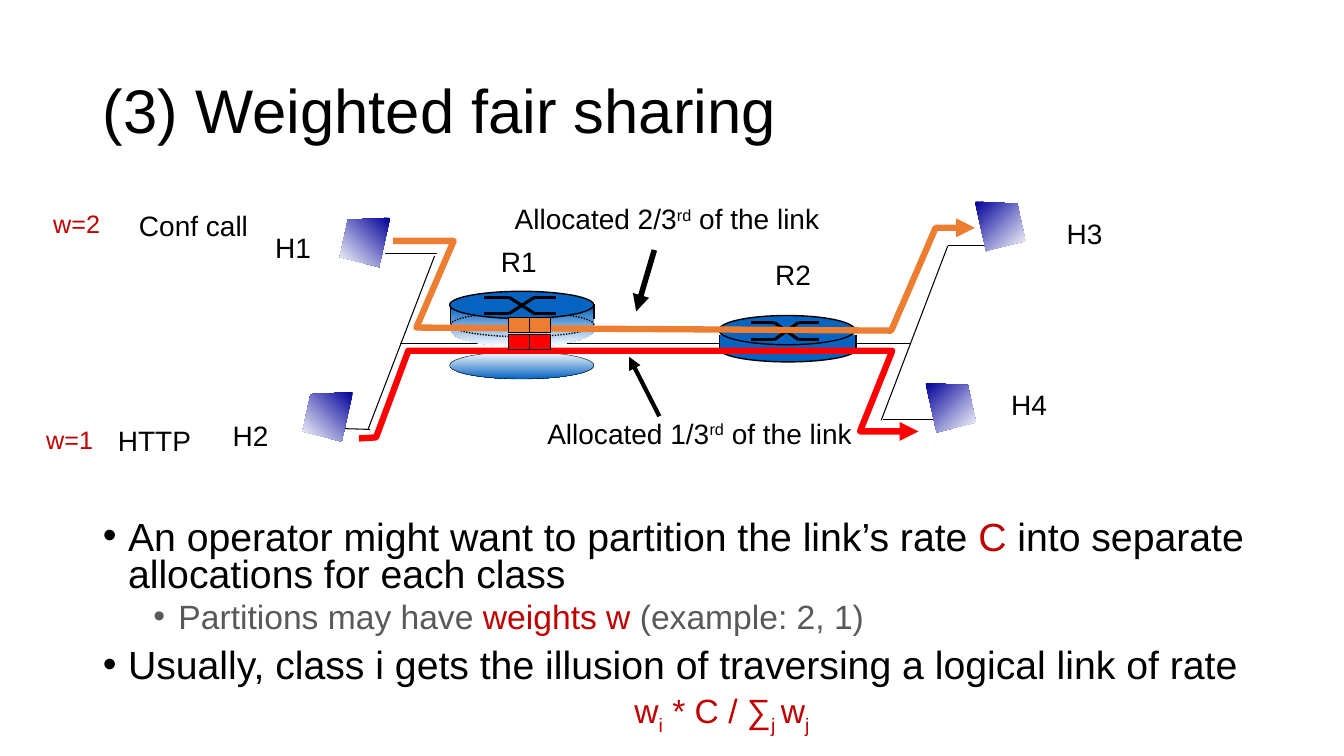
import math
from dataclasses import dataclass
from itertools import pairwise

from lxml import etree
from pptx import Presentation
from pptx import util as u
from pptx.dml.color import RGBColor
from pptx.enum import dml, shapes, text
from pptx.oxml.ns import qn


@dataclass(frozen=True)
class Theme:
    font: str = "Arial"
    black: str = "000000"
    white: str = "FFFFFF"
    gray: str = "595959"
    accent: str = "C00000"
    blue: str = "0563C1"
    navy: str = "000099"
    orange: str = "ED7D31"
    red: str = "FF0000"
    head: int = 44
    body: int = 28
    sub: int = 24
    label: int = 20
    weight: int = 18


T = Theme()
OVAL, RECT = shapes.MSO_SHAPE.OVAL, shapes.MSO_SHAPE.RECTANGLE
CENTER, LEFT = text.PP_ALIGN.CENTER, text.PP_ALIGN.LEFT


def rgb(code):
    return RGBColor.from_string(code)


def place(shape, *box):
    shape.left, shape.top, shape.width, shape.height = map(u.Inches, box)


def write(para, *runs, size, color=T.black, align=LEFT):
    """Add runs, each a string or (string, {"color", "base"})."""
    para.alignment = align
    for item in runs:
        words, fmt = (item, {}) if isinstance(item, str) else item
        run = para.add_run()
        run.text = words
        run.font.name, run.font.size = T.font, u.Pt(size)
        run.font.color.rgb = rgb(fmt.get("color", color))
        if "base" in fmt:
            run.font._element.set("baseline", str(fmt["base"] * 1000))


def label(slide, box, *runs, wrap=True, size=T.label, **fmt):
    frame = slide.shapes.add_textbox(*map(u.Inches, box)).text_frame
    frame.word_wrap = wrap
    frame.auto_size = text.MSO_AUTO_SIZE.SHAPE_TO_FIT_TEXT
    write(frame.paragraphs[0], *runs, size=size, **fmt)


def stroke(shape, color, width, arrow=False):
    shape.line.color.rgb = rgb(color)
    shape.line.width = u.Pt(width)
    if arrow:
        edge = shape._element.spPr.find(qn("a:ln"))
        etree.SubElement(edge, qn("a:tailEnd"), type="triangle")


def paint(shape, fill=None, line=None, width=1, angle=270, arrow=False):
    """Fill with nothing, one colour, or a pair of gradient colours."""
    shape.shadow.inherit = False
    if fill is None:
        shape.fill.background()
    elif isinstance(fill, str):
        shape.fill.solid()
        shape.fill.fore_color.rgb = rgb(fill)
    else:
        shape.fill.gradient()
        shape.fill.gradient_angle = angle
        for stop, color in zip(shape.fill.gradient_stops, fill):
            stop.color.rgb = rgb(color)
    if line:
        stroke(shape, line, width, arrow)
    else:
        shape.line.fill.background()
    return shape


def block(slide, kind, box, **look):
    return paint(slide.shapes.add_shape(kind, *map(u.Inches, box)), **look)


def outline(slide, points, close=False, **look):
    spots = [(u.Inches(x), u.Inches(y)) for x, y in points]
    pen = slide.shapes.build_freeform(*spots[0])
    pen.add_line_segments(spots[1:], close=close)
    return paint(pen.convert_to_shape(), **look)


def link(slide, start, end, width=0.75, arrow=False):
    line = slide.shapes.add_connector(
        shapes.MSO_CONNECTOR.STRAIGHT, *map(u.Inches, (*start, *end)))
    stroke(line, T.black, width, arrow)
    etree.SubElement(line._element.spPr, qn("a:effectLst"))


def cross(slide, xs, top, low):
    """Draw the two crossing paths on a router's lid."""
    for near, far in ((top, low), (low, top)):
        for start, end in pairwise(zip(xs, (near, near, far, far))):
            link(slide, start, end, 2.25)


def host(slide, x, y, side):
    """Draw a host from its top corner; side is -1 when mirrored."""
    shape = ((0, 0), (0.42, 0.02), (0.5, 0.39), (0.11, 0.49))
    outline(slide, [(x + side * dx, y + dy) for dx, dy in shape], close=True,
            fill=(T.navy, T.white), angle=270 + 45 * side)


def arc(mid, base, high, steps):
    return [(mid + 0.71 * math.cos(a), base + high * math.sin(a))
            for a in (math.pi * i / 24 for i in steps)]


def queue(slide):
    """Draw R1, opened up to show its buffer."""
    wall = arc(5.18, 3.04, 0.13, range(24, -1, -1)) + arc(5.18, 3.27, 0.17, range(25))
    outline(slide, wall, close=True, fill=(T.blue, T.white))
    rim = block(slide, OVAL, (4.47, 3.1, 1.42, 0.24), line=T.black)
    rim.line.dash_style = dml.MSO_LINE.ROUND_DOT
    link(slide, (4.47, 3.06), (4.47, 3.21), 1)
    link(slide, (5.89, 3.02), (5.89, 3.16), 1)
    block(slide, OVAL, (4.46, 2.89, 1.43, 0.27), fill=T.blue, line=T.black)
    cross(slide, (4.8, 5.05, 5.3, 5.51), 2.95, 3.11)
    block(slide, OVAL, (4.46, 3.49, 1.43, 0.27), fill=(T.white, T.blue),
          line=T.black, width=0.25)


def router(slide):
    block(slide, OVAL, (7.14, 3.34, 1.35, 0.25), fill=T.blue, line=T.black)
    for x in (7.14, 8.49):
        link(slide, (x, 3.32), (x, 3.47), 1)
    block(slide, RECT, (7.14, 3.32, 1.34, 0.15), fill=T.blue)
    block(slide, OVAL, (7.13, 3.13, 1.35, 0.29), fill=T.blue, line=T.black)
    cross(slide, (7.45, 7.68, 7.92, 8.12), 3.2, 3.37)


def network(slide):
    link(slide, (3.97, 3.41), (9.03, 3.41))
    queue(slide)
    for start, end in (((4.31, 2.54), (3.65, 4.26)), ((3.67, 4.26), (3.33, 4.25)),
                       ((4.33, 2.52), (3.82, 2.52)), ((9.4, 2.44), (8.74, 4.17)),
                       ((9.27, 4.16), (8.76, 4.16)), ((9.76, 2.44), (9.4, 2.44))):
        link(slide, start, end)
    router(slide)
    for name, x, y in (("R1", 4.87, 2.38), ("R2", 7.59, 2.51), ("H1", 2.63, 2.24),
                       ("H2", 2.21, 4.1), ("H3", 10.48, 2.1), ("H4", 9.93, 3.8)):
        label(slide, (x, y, 0.56, 0.44), name, wrap=False)


def flows(slide):
    rest = (("rd", {"base": 30}), " of the link")
    label(slide, (5.33, 4.08, 3.27, 0.44), "Allocated 1/3", *rest, wrap=False)
    link(slide, (6.54, 4.13), (6.24, 3.54), 3, arrow=True)
    call = (3.9, 2.39), (4.5, 2.39), (4.13, 3.25), (8.84, 3.28), (9.28, 2.26), (9.67, 2.26)
    web = (3.56, 4.35), (3.73, 4.34), (4.05, 3.48), (8.85, 3.48), (8.53, 4.28), (9.11, 4.28)
    for points, color in ((call, T.orange), (web, T.red)):
        outline(slide, points, line=color, width=4.5, arrow=True)
    for spot in ((3.5, 3.89, -1), (3.87, 2.16, -1), (9.67, 2, 1), (9.18, 3.8, 1)):
        host(slide, *spot)
    label(slide, (4.94, 1.95, 3.35, 0.44), "Allocated 2/3", *rest, align=CENTER)
    link(slide, (6.49, 2.48), (6.31, 3.09), 4, arrow=True)
    for y, color in ((3.32, T.red), (3.15, T.orange)):
        for x in (5.04, 5.25):
            block(slide, RECT, (x, y, 0.21, 0.15), fill=color, line=T.black, width=0.75)
    label(slide, (1.07, 4.15, 1.03, 0.44), "HTTP")
    label(slide, (1.28, 2.02, 1.44, 0.44), "Conf call")
    for words, x, y in (("w=2", 0.43, 2.02), ("w=1", 0.36, 4.16)):
        label(slide, (x, y, 0.86, 0.4), words, size=T.weight, color=T.accent)


def point(para, *runs, level=0, left=0.25, mark=True, gap=10, **fmt):
    para.level, para.line_spacing, para.space_before = level, 0.8, u.Pt(gap)
    props = para._p.get_or_add_pPr()
    props.set("marL", str(u.Inches(left)))
    props.set("indent", str(u.Inches(-0.25 if mark else 0)))
    if mark:
        etree.SubElement(props, qn("a:buChar"), char="•")
    else:
        etree.SubElement(props, qn("a:buNone"))
    write(para, *runs, **fmt)


def prose(slide):
    title, body = slide.shapes.title, slide.placeholders[1]
    place(title, 0.92, 0.4, 11.5, 1.45)
    place(body, 0.92, 5.12, 11.98, 2.27)
    for shape in (title, body):
        shape.text_frame.auto_size = text.MSO_AUTO_SIZE.NONE
    title.text_frame.vertical_anchor = text.MSO_ANCHOR.MIDDLE
    head = title.text_frame.paragraphs[0]
    head.line_spacing = 0.9
    write(head, "(3) Weighted fair sharing", size=T.head)

    frame = body.text_frame
    hot, low = {"color": T.accent}, {"base": -25}
    point(frame.paragraphs[0], "An operator might want to partition the link’s rate ",
          ("C", hot), " into separate allocations for each class", gap=0, size=T.body)
    point(frame.add_paragraph(), "Partitions may have ", ("weights w ", hot),
          "(example: 2, 1)", level=1, left=0.75, gap=5, size=T.sub, color=T.gray)
    point(frame.add_paragraph(), "Usually, class i gets the illusion of "
          "traversing a logical link of rate", size=T.body)
    point(frame.add_paragraph(), "w", ("i", low), " * C / ∑", ("j ", low), "w", ("j", low),
          level=1, left=0.5, mark=False, gap=5, size=T.sub, color=T.accent, align=CENTER)


def main():
    deck = Presentation()
    deck.slide_width, deck.slide_height = u.Inches(13.33), u.Inches(7.5)
    slide = deck.slides.add_slide(deck.slide_layouts[1])
    prose(slide)
    network(slide)
    flows(slide)
    deck.save("out.pptx")


if __name__ == "__main__":
    main()
